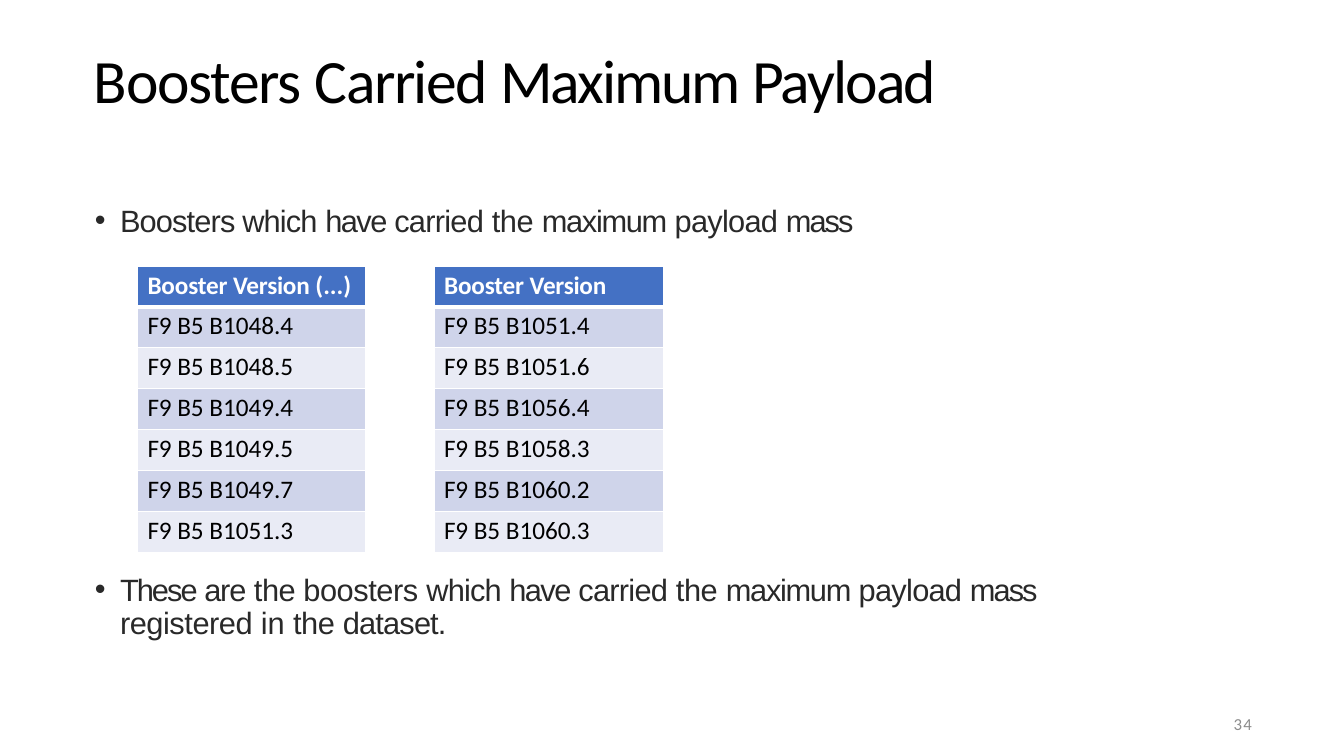
from dataclasses import dataclass

from lxml import etree
from pptx import Presentation
from pptx.dml.color import RGBColor
from pptx.enum.text import MSO_ANCHOR, PP_ALIGN
from pptx.oxml.ns import qn
from pptx.util import Pt

LEFT, RIGHT = PP_ALIGN.LEFT, PP_ALIGN.RIGHT
TOP, MIDDLE = MSO_ANCHOR.TOP, MSO_ANCHOR.MIDDLE
TITLE_ONLY = 5


@dataclass(frozen=True)
class Theme:
    head: str = "Calibri"
    body: str = "Arial"
    black: str = "000000"
    white: str = "FFFFFF"
    ink: str = "292929"
    grey: str = "8C8C8C"
    blue: str = "4471C4"
    bands: tuple = ("CFD4EA", "E9EBF5")
    title_size: float = 44
    text_size: float = 22
    cell_size: float = 18
    page_size: float = 12


def add(parent, tag, **attrs):
    return etree.SubElement(parent, qn(tag), {k: str(v) for k, v in attrs.items()})


class Deck:
    def __init__(self, theme):
        self.theme = theme
        self.file = Presentation()
        self.file.slide_width, self.file.slide_height = Pt(960), Pt(540)
        layout = self.file.slide_layouts[TITLE_ONLY]
        self.slide = self.file.slides.add_slide(layout)

    def fill_text(self, para, runs, font, size, color, bold=False, align=LEFT):
        """Fill a paragraph with (text, letter spacing) runs."""
        para.alignment = align
        for text, gap in runs:
            run = para.add_run()
            run.text = text
            run.font._element.set("spc", str(round(gap * 100)))
        style = para.font
        style.name, style.size, style.bold = font, Pt(size), bold
        style.color.rgb = RGBColor.from_string(color)

    def frame(self, shape, box, inset=0, anchor=TOP):
        """Place a text shape and return its first paragraph."""
        shape.left, shape.top, shape.width, shape.height = map(Pt, box)
        text = shape.text_frame
        text.word_wrap = True
        text.vertical_anchor = anchor
        text.margin_left = text.margin_right = text.margin_bottom = 0
        text.margin_top = Pt(inset)
        return text.paragraphs[0]

    def title(self, box, runs):
        look = self.theme
        para = self.frame(self.slide.shapes.title, box, 1, MIDDLE)
        self.fill_text(para, runs, look.head, look.title_size, look.black)

    def bullet(self, box, runs, inset, line=None):
        look = self.theme
        para = self.frame(self.slide.shapes.add_textbox(0, 0, 0, 0), box, inset)
        if line:
            para.line_spacing = Pt(line)
        props = para._p.get_or_add_pPr()
        props.set("marL", str(Pt(18.7)))
        props.set("indent", str(-Pt(18)))
        add(props, "a:buFont", typeface=look.body)
        add(props, "a:buChar", char="•")
        self.fill_text(para, runs, look.body, look.text_size, look.ink)

    def number(self, box, text):
        look = self.theme
        para = self.frame(self.slide.shapes.add_textbox(0, 0, 0, 0), box, 0, MIDDLE)
        para.line_spacing = Pt(18.4)
        self.fill_text(para, [(text, 0.8)], look.head, look.page_size, look.grey,
                       align=RIGHT)

    def border(self, cell, **widths):
        props = cell._tc.get_or_add_tcPr()
        for side in "LRTB":
            line = add(props, "a:ln" + side, w=Pt(widths.get(side, 1)))
            add(add(line, "a:solidFill"), "a:srgbClr", val=self.theme.white)

    def table(self, left, top, width, step, head, names):
        look = self.theme
        rows = [head] + [[("F9 ", -0.1), ("B5 " + name, 0)] for name in names]
        shape = self.slide.shapes.add_table(
            len(rows), 1, Pt(left), Pt(top), Pt(width), Pt(step * len(rows)))
        grid = shape.table
        grid.horz_banding = False
        for i, runs in enumerate(rows):
            grid.rows[i].height = Pt(step)
            cell = grid.cell(i, 0)
            cell.margin_left, cell.margin_top = Pt(7.2), Pt(2.9)
            cell.margin_right = cell.margin_bottom = 0
            self.border(cell, T=3 if i == 1 else 1, B=1 if i else 3)
            cell.fill.solid()
            fill = look.bands[(i - 1) % 2] if i else look.blue
            cell.fill.fore_color.rgb = RGBColor.from_string(fill)
            self.fill_text(cell.text_frame.paragraphs[0], runs, look.head,
                           look.cell_size, look.black if i else look.white,
                           bold=i == 0)


def main():
    deck = Deck(Theme())
    deck.title((67, 28.8, 611.3, 54), [
        ("Boosters ", -0.9), ("Carried ", -1.1), ("Maximum ", -1.6), ("Payload", -1.4)])

    carried = [("which ", -0.6), ("have ", -1.1), ("carried ", -0.5), ("the ", -0.3),
               ("maximum ", -0.9), ("payload ", -0.5)]
    deck.bullet((67, 142.6, 550, 28),
                [("Boosters ", -0.6), *carried, ("mass", -1.4)], inset=1.5)

    head = [("Booster ", -0.1), ("Version", -0.2)]
    deck.table(98.2, 190, 163, 29.2, head + [(" (...)", 0)],
               ["B1048.4", "B1048.5", "B1049.4", "B1049.5", "B1049.7", "B1051.3"])
    deck.table(310, 190, 164, 29.2, head,
               ["B1051.4", "B1051.6", "B1056.4", "B1058.3", "B1060.2", "B1060.3"])

    deck.bullet((67, 406.8, 682.6, 52.6), [
        ("These ", -1.4), ("are ", -0.8), ("the boosters ", -0.3), *carried,
        ("mass ", -1.4), ("registered ", -0.3), ("in ", -0.1), ("the ", -0.3),
        ("dataset.", -0.6)], inset=3.6, line=23.8)
    deck.number((678.2, 500.4, 216, 28.8), "34")
    deck.file.save("out.pptx")


if __name__ == "__main__":
    main()
